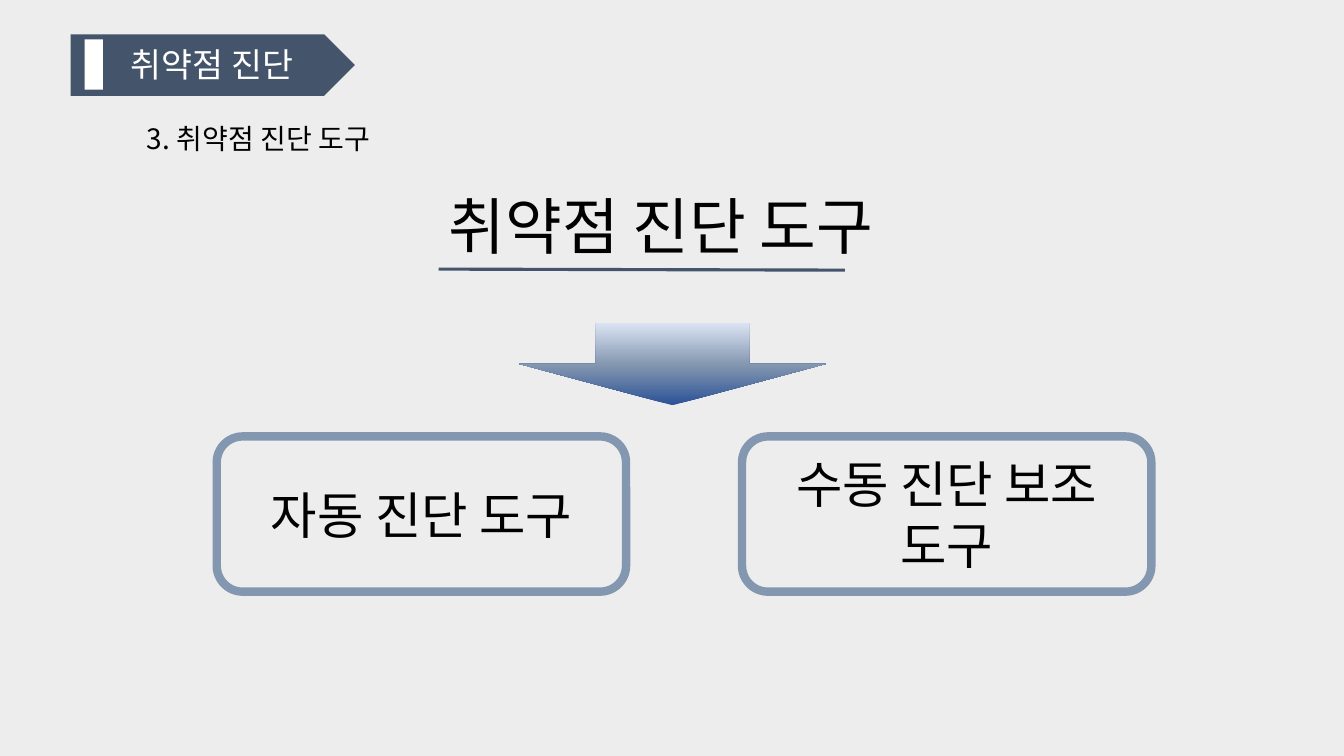
import copy

import pptx
import pptx.dml.color
import pptx.enum.shapes
import pptx.enum.text
import pptx.oxml
import pptx.oxml.ns
import pptx.util

Inches = pptx.util.Inches
SHAPE = pptx.enum.shapes.MSO_SHAPE
ALIGN = pptx.enum.text.PP_ALIGN
ANCHOR = pptx.enum.text.MSO_ANCHOR

COLORS = {
    "background": "EDEDED",
    "navy": "44546A",
    "steel": "8497B0",
    "blue": "2F5597",
    "pale": "DAE3F3",
    "white": "FFFFFF",
    "black": "000000",
}


def rgb(name):
    return pptx.dml.color.RGBColor.from_string(COLORS[name])


def write_text(frame, text, font="Noto Sans CJK KR", size=20, color="black",
               align=ALIGN.LEFT, anchor=ANCHOR.TOP, wrap=True):
    frame.word_wrap = wrap
    frame.auto_size = pptx.enum.text.MSO_AUTO_SIZE.NONE
    frame.vertical_anchor = anchor
    paragraph = frame.paragraphs[0]
    paragraph.alignment = align
    run = paragraph.add_run()
    run.text = text
    run.font.name = font
    run.font.size = pptx.util.Pt(size)
    run.font.color.rgb = rgb(color)
    # Korean glyphs take the East Asian typeface
    east_asian = pptx.oxml.parse_xml(
        f'<a:ea {pptx.oxml.ns.nsdecls("a")} typeface="{font}"/>')
    run.font._element.find(pptx.oxml.ns.qn("a:latin")).addnext(east_asian)


class SlideBuilder:
    def __init__(self, deck):
        self.slide = deck.slides.add_slide(deck.slide_layouts[5])
        self.slide.background.fill.solid()
        self.slide.background.fill.fore_color.rgb = rgb("background")

    def title(self, text, left, top, width, height, **text_format):
        heading = self.slide.shapes.title
        heading.left, heading.top = Inches(left), Inches(top)
        heading.width, heading.height = Inches(width), Inches(height)
        write_text(heading.text_frame, text, **text_format)

    def label(self, text, left, top, width, height, **text_format):
        box = self.slide.shapes.add_textbox(
            Inches(left), Inches(top), Inches(width), Inches(height))
        write_text(box.text_frame, text, **text_format)

    def shape(self, kind, left, top, width, height, fill=None, line=None, weight=1):
        item = self.slide.shapes.add_shape(
            kind, Inches(left), Inches(top), Inches(width), Inches(height))
        item.shadow.inherit = False
        if fill:
            item.fill.solid()
            item.fill.fore_color.rgb = rgb(fill)
        else:
            item.fill.background()
        if line:
            item.line.color.rgb = rgb(line)
            item.line.width = pptx.util.Pt(weight)
        else:
            item.line.fill.background()
        return item

    def gradient_arrow(self, left, top, width, height, stops):
        arrow = self.shape(SHAPE.DOWN_ARROW, left, top, width, height)
        arrow.fill.gradient()
        arrow.fill.gradient_angle = 90
        stop_list = next(arrow._element.iter(pptx.oxml.ns.qn("a:gsLst")))
        while len(stop_list) < len(stops):
            stop_list.append(copy.deepcopy(stop_list[0]))
        for stop, (position, color) in zip(arrow.fill.gradient_stops, stops):
            stop.position = position
            stop.color.rgb = rgb(color)

    def card(self, text, left, top, width, height):
        frame = self.shape(SHAPE.ROUNDED_RECTANGLE, left, top, width, height,
                           line="steel", weight=6).text_frame
        write_text(frame, text, size=36, align=ALIGN.CENTER, anchor=ANCHOR.MIDDLE)

    def rule(self, x1, y1, x2, y2, color, weight):
        line = self.slide.shapes.add_connector(
            pptx.enum.shapes.MSO_CONNECTOR.STRAIGHT,
            Inches(x1), Inches(y1), Inches(x2), Inches(y2))
        line.line.color.rgb = rgb(color)
        line.line.width = pptx.util.Pt(weight)
        line._element.spPr.append(pptx.oxml.parse_xml(
            f'<a:effectLst {pptx.oxml.ns.nsdecls("a")}/>'))


def main():
    deck = pptx.Presentation()
    deck.slide_width, deck.slide_height = Inches(13.33), Inches(7.5)
    page = SlideBuilder(deck)

    # Heading and its underline
    page.title("취약점 진단 도구", 4.35, 1.81, 4.5, 0.84, size=44, wrap=False)
    page.rule(4.35, 2.67, 8.38, 2.68, "navy", 2.25)

    # Section banner
    page.shape(SHAPE.PENTAGON, 0.7, 0.34, 2.82, 0.61, fill="navy")
    page.shape(SHAPE.RECTANGLE, 0.84, 0.39, 0.18, 0.5, fill="white")
    page.label("취약점 진단", 1.2, 0.39, 2.23, 0.5, size=24, color="white")
    page.label("3. 취약점 진단 도구", 1.36, 1.16, 2.57, 0.44)

    # Arrow down to the two kinds of tool
    page.gradient_arrow(5.15, 3.2, 3.04, 0.82,
                        [(0.02, "blue"), (0.49, "steel"), (0.99, "pale")])
    for column, tool in enumerate(["자동 진단 도구", "수동 진단 보조 도구"]):
        page.card(tool, 2.15 + column * 5.21, 4.33, 4.06, 1.54)

    deck.save("out.pptx")


if __name__ == "__main__":
    main()
